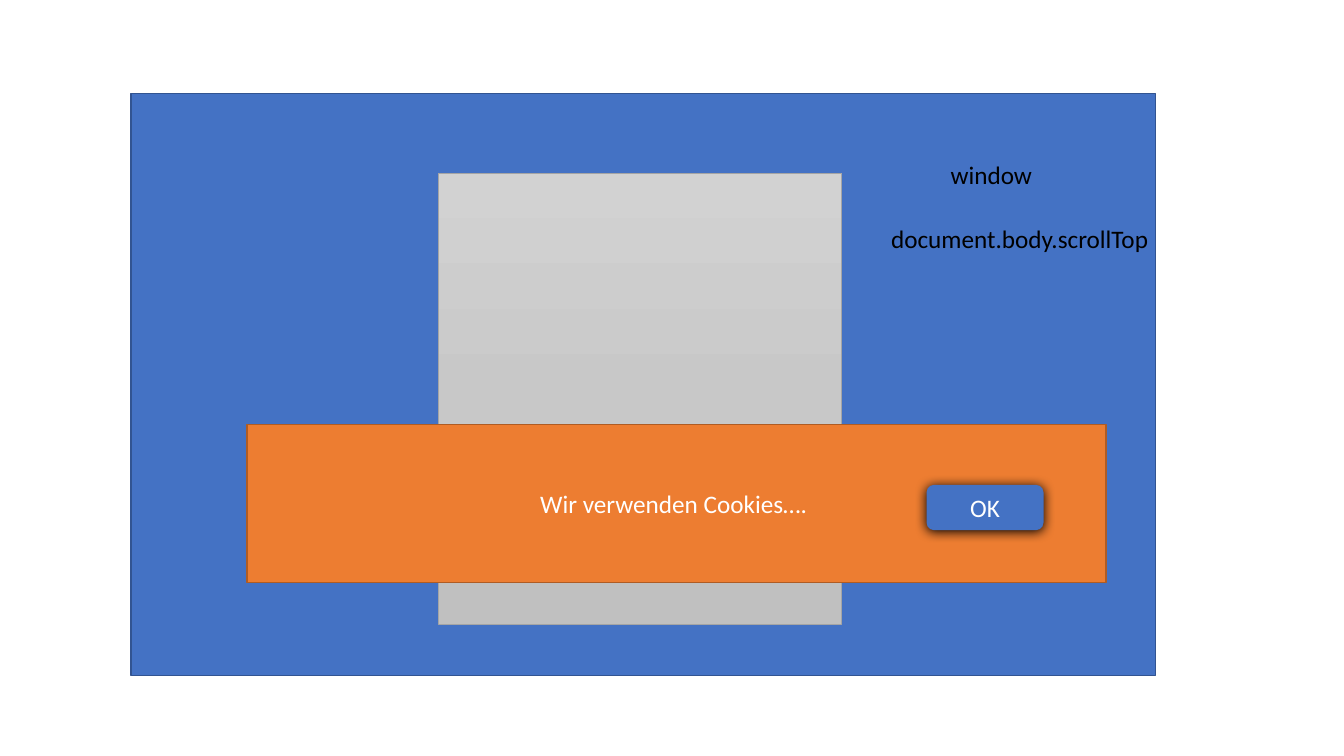
from copy import deepcopy
from typing import NamedTuple, Optional

from lxml.etree import SubElement
from pptx import Presentation
from pptx.dml.color import RGBColor
from pptx.enum.shapes import MSO_SHAPE
from pptx.enum.text import MSO_ANCHOR, MSO_AUTO_SIZE, PP_ALIGN
from pptx.oxml.ns import qn
from pptx.shapes.autoshape import Shape
from pptx.slide import Slide
from pptx.text.text import TextFrame
from pptx.util import Inches, Pt

BLUE = RGBColor(0x44, 0x72, 0xC4)
NAVY = RGBColor(0x32, 0x54, 0x91)
ORANGE = RGBColor(0xED, 0x7D, 0x31)
BROWN = RGBColor(0xAF, 0x5C, 0x24)
GRAY = RGBColor(0xA5, 0xA5, 0xA5)
BLACK = RGBColor(0, 0, 0)
WHITE = RGBColor(0xFF, 0xFF, 0xFF)
SHADES = (
    RGBColor(0xD2, 0xD2, 0xD2),
    RGBColor(0xC8, 0xC8, 0xC8),
    RGBColor(0xC0, 0xC0, 0xC0),
)


class Area(NamedTuple):
    left: float
    top: float
    width: float
    height: float


class Box(NamedTuple):
    area: Area
    fill: RGBColor
    line: Optional[RGBColor] = None
    weight: float = 1
    text: str = ""
    kind: MSO_SHAPE = MSO_SHAPE.RECTANGLE


class Label(NamedTuple):
    area: Area
    text: str


WINDOW = Box(Area(1.3, 0.93, 10.16, 5.77), BLUE, NAVY)
PAGE = Box(Area(4.35, 1.72, 4, 4.47), SHADES[0], GRAY, 0.5)
BANNER = Box(Area(2.45, 4.21, 8.52, 1.57), ORANGE, BROWN,
             text="Wir verwenden Cookies…. ")
BUTTON = Box(Area(9.19, 4.81, 1.16, 0.45), BLUE, text="OK",
             kind=MSO_SHAPE.ROUNDED_RECTANGLE)
LABELS = (
    Label(Area(9.33, 1.53, 1.94, 0.4), "window"),
    Label(Area(8.74, 2.17, 2.84, 0.4), "document.body.scrollTop"),
)


def write(frame: TextFrame, text: str, color: RGBColor) -> None:
    frame.text = text
    frame.word_wrap = True
    font = frame.paragraphs[0].runs[0].font
    font.name, font.size = "Calibri", Pt(18)
    font.color.rgb = color


def add_box(slide: Slide, box: Box) -> Shape:
    shape = slide.shapes.add_shape(box.kind, *map(Inches, box.area))
    shape.shadow.inherit = False
    shape.fill.solid()
    shape.fill.fore_color.rgb = box.fill
    if box.line is None:
        shape.line.fill.background()
    else:
        shape.line.color.rgb = box.line
        shape.line.width = Pt(box.weight)
    if box.text:
        frame = shape.text_frame
        write(frame, box.text, WHITE)
        frame.vertical_anchor = MSO_ANCHOR.MIDDLE
        frame.paragraphs[0].alignment = PP_ALIGN.CENTER
    return shape


def add_label(slide: Slide, label: Label) -> None:
    frame = slide.shapes.add_textbox(*map(Inches, label.area)).text_frame
    write(frame, label.text, BLACK)
    frame.auto_size = MSO_AUTO_SIZE.SHAPE_TO_FIT_TEXT


def shade(shape: Shape) -> None:
    fill = shape.fill
    fill.gradient()
    fill.gradient_angle = 270
    stops = shape.element.spPr.find(".//" + qn("a:gsLst"))
    stops.append(deepcopy(stops[0]))
    for i, (stop, color) in enumerate(zip(fill.gradient_stops, SHADES)):
        stop.position = i / 2
        stop.color.rgb = color


def cast(shape: Shape) -> None:
    effect = shape.element.spPr.find(qn("a:effectLst"))
    outer = SubElement(effect, qn("a:outerShdw"), blurRad=str(Pt(8.5)),
                       dist=str(Pt(1)), dir="5400000", algn="ctr",
                       rotWithShape="0")
    SubElement(outer, qn("a:srgbClr"), val=str(BLACK))


def main() -> None:
    deck = Presentation()
    deck.slide_width, deck.slide_height = Inches(13.33), Inches(7.5)
    slide = deck.slides.add_slide(deck.slide_layouts[6])

    # Browser window with the page inside
    add_box(slide, WINDOW)
    shade(add_box(slide, PAGE))

    # Cookie banner and its button
    add_box(slide, BANNER)
    cast(add_box(slide, BUTTON))

    # Names of the scroll objects
    for label in LABELS:
        add_label(slide, label)

    deck.save("out.pptx")


if __name__ == "__main__":
    main()
